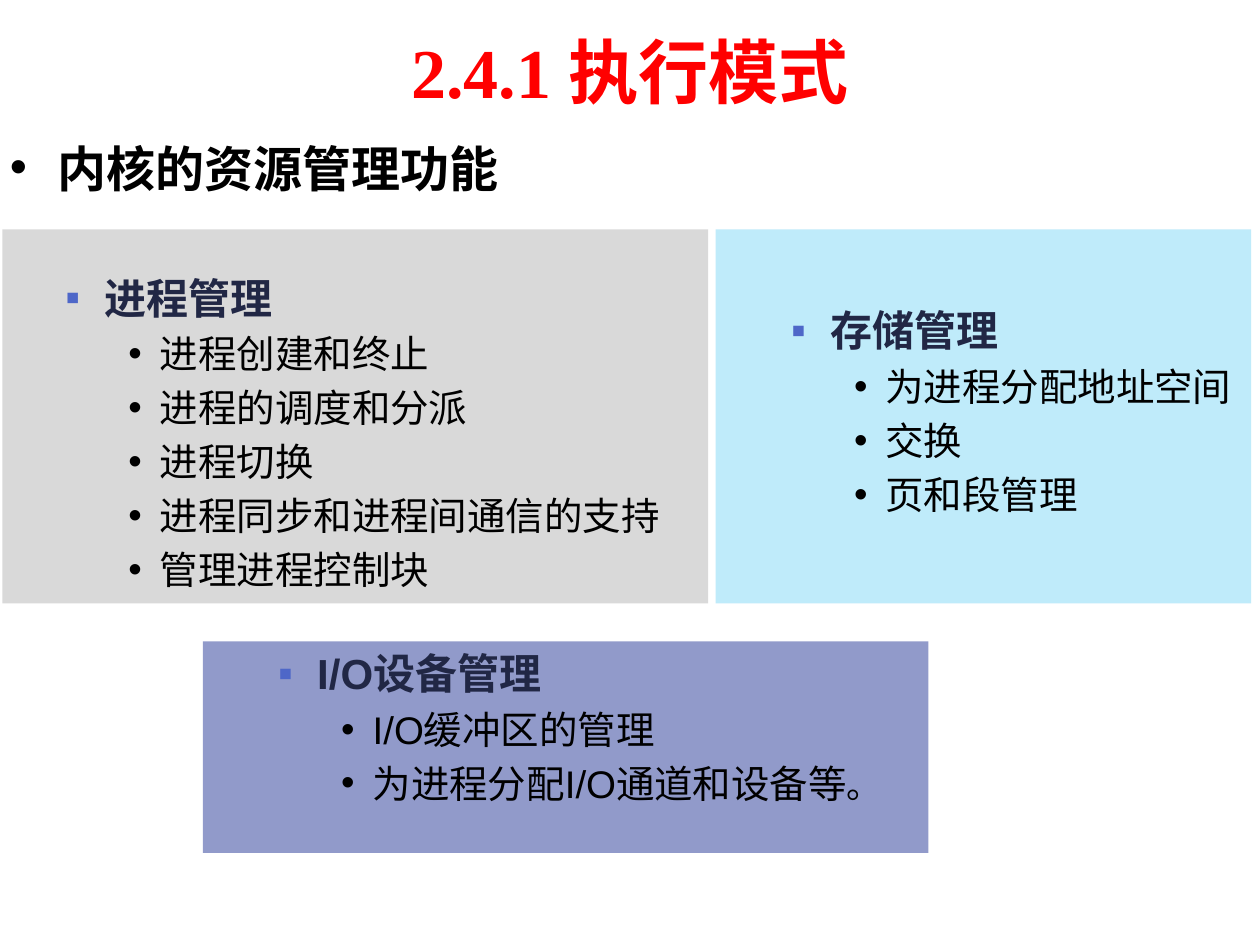
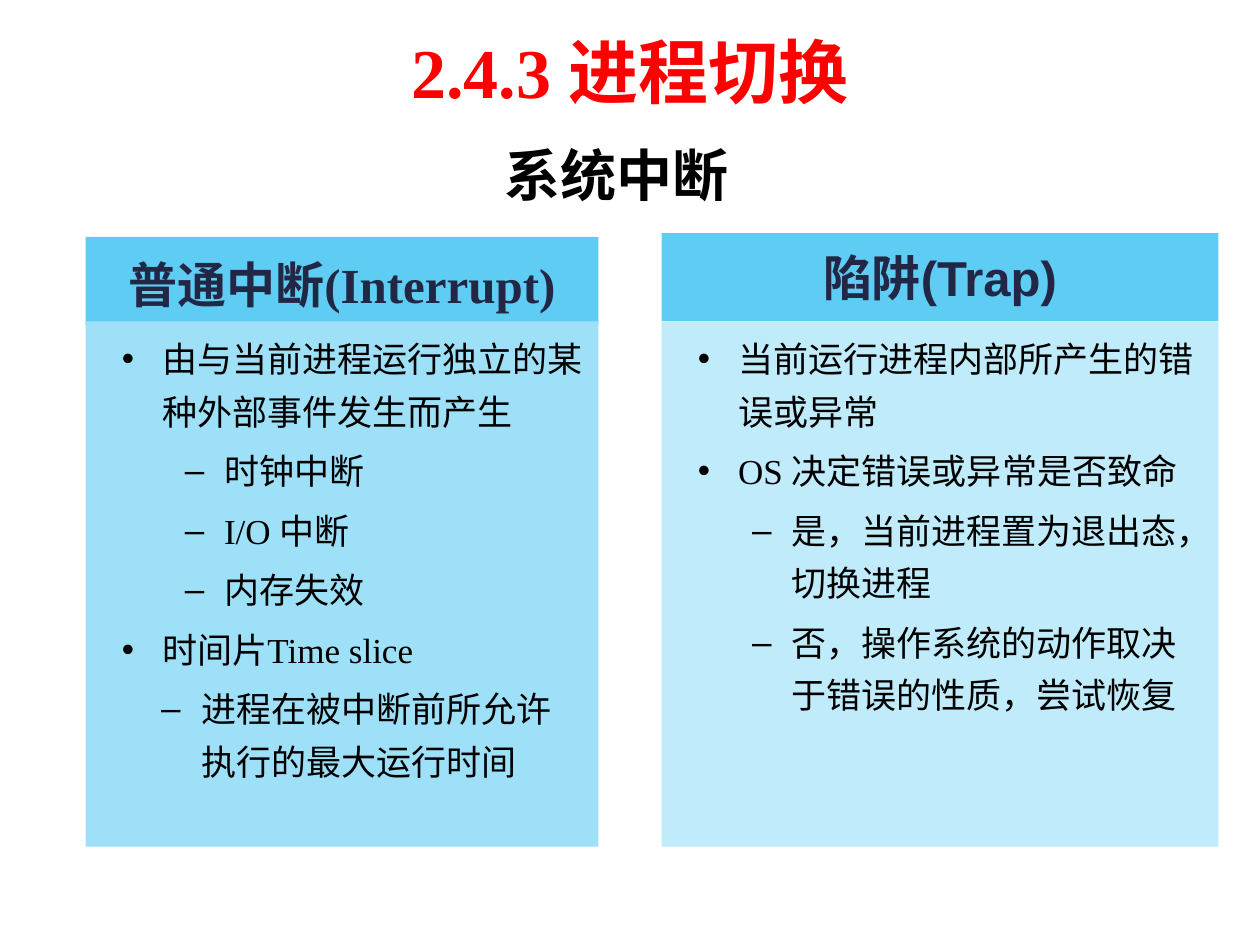
from collections import namedtuple

from lxml import etree
from pptx import Presentation
from pptx.dml.color import RGBColor
from pptx.enum.shapes import MSO_SHAPE
from pptx.enum.text import MSO_ANCHOR, PP_ALIGN
from pptx.oxml.ns import qn
from pptx.util import Inches, Pt

RECT = MSO_SHAPE.RECTANGLE
TOP, MIDDLE = MSO_ANCHOR.TOP, MSO_ANCHOR.MIDDLE
LEFT, CENTER = PP_ALIGN.LEFT, PP_ALIGN.CENTER

RED = RGBColor(0xFF, 0x00, 0x00)
BLACK = RGBColor(0x00, 0x00, 0x00)
NAVY = RGBColor(0x21, 0x27, 0x45)
BLUE = RGBColor(0x4E, 0x67, 0xC8)
GRAY = RGBColor(0xD9, 0xD9, 0xD9)
PALE = RGBColor(0xBF, 0xEB, 0xFA)
LILAC = RGBColor(0x91, 0x9A, 0xCA)
SKY = RGBColor(0x5E, 0xCC, 0xF3)
LIGHT = RGBColor(0x9E, 0xE0, 0xF8)

SANS, SERIF = "Arial", "Times New Roman"

# gap: space before, as a share of the text size
Look = namedtuple("Look", "size font color bold align line gap level left hang mark tint",
                  defaults=(BLACK, False, LEFT, 1.0, 0.2, 0, 0, 0, "", BLACK))

TITLE = Look(40, SERIF, RED, True, CENTER, gap=0)
SUBTITLE = Look(32, SANS, bold=True, align=CENTER, gap=0)
LEAD = Look(28, SANS, bold=True, line=0.7, left=0.38, hang=0.38, mark="•")
HEAD = Look(24, SANS, NAVY, True, level=1, left=0.81, hang=0.31, mark="▪", tint=BLUE)
ITEM = Look(22, SANS, level=2, left=1.25, hang=0.25, mark="•")
BAND = Look(28, SANS, NAVY, True, CENTER)
POINT = Look(20, SERIF, line=1.25, level=2, left=0.51, hang=0.32, mark="•")
SUB = POINT._replace(level=3, left=1.0, hang=0.31, mark="–")


def style_run(run, look):
    font = run.font
    font.size = Pt(look.size)
    font.name = look.font
    font.bold = look.bold
    font.color.rgb = look.color


def add_mark(para, look):
    """Give the paragraph its hanging indent and bullet."""
    props = para._p.get_or_add_pPr()
    props.set("marL", str(Inches(look.left)))
    props.set("indent", str(-Inches(look.hang)))
    if look.mark:
        tint = etree.SubElement(props, qn("a:buClr"))
        etree.SubElement(tint, qn("a:srgbClr"), val=str(look.tint))
        etree.SubElement(props, qn("a:buFont"), typeface=SANS)
        etree.SubElement(props, qn("a:buChar"), char=look.mark)


def write(shape, rows, anchor=TOP, side=0.1, top=0.05):
    """Fill a shape with (text, look) rows."""
    frame = shape.text_frame
    frame.word_wrap = True
    frame.vertical_anchor = anchor
    frame.margin_left = frame.margin_right = Inches(side)
    frame.margin_top, frame.margin_bottom = Inches(top), Inches(0.05)
    for num, (text, look) in enumerate(rows):
        para = frame.add_paragraph() if num else frame.paragraphs[0]
        para.text = text
        para.alignment = look.align
        para.level = look.level
        para.line_spacing = look.line
        para.space_before = Pt(look.size * look.gap)
        add_mark(para, look)
        for run in para.runs:
            style_run(run, look)
    return frame


def add_label(slide, box, text, look, anchor=MIDDLE):
    shape = slide.shapes.add_textbox(*map(Inches, box))
    write(shape, [(text, look)], anchor)


def add_panel(slide, box, fill, rows, **layout):
    panel = slide.shapes.add_shape(RECT, *map(Inches, box))
    panel.shadow.inherit = False
    panel.fill.solid()
    panel.fill.fore_color.rgb = fill
    panel.line.fill.background()
    return write(panel, rows, **layout)


def add_topic(slide, box, fill, head, items, **layout):
    rows = [(head, HEAD)] + [(item, ITEM) for item in items]
    return add_panel(slide, box, fill, rows, **layout)


def add_page(deck, title):
    slide = deck.slides.add_slide(deck.slide_layouts[6])
    add_label(slide, (0.5, 0.05, 9, 1.02), title, TITLE)
    return slide


def build_modes(deck):
    slide = add_page(deck, "2.4.1 执行模式")
    add_label(slide, (-0.02, 1.18, 7.57, 0.58), "内核的资源管理功能", LEAD, TOP)
    add_topic(slide, (0.02, 1.82, 5.6, 2.97), GRAY, "进程管理",
              ["进程创建和终止", "进程的调度和分派", "进程切换",
               "进程同步和进程间通信的支持", "管理进程控制块"], side=0, top=0.34)
    add_topic(slide, (5.68, 1.82, 4.25, 2.97), PALE, "存储管理",
              ["为进程分配地址空间", "交换", "页和段管理"], top=0.6)
    frame = add_topic(slide, (1.61, 5.09, 5.76, 1.68), LILAC, "I/O设备管理",
                      ["I/O缓冲区的管理", "为进程分配I/O通道和设备等"])
    stop = frame.paragraphs[-1].add_run()
    stop.text = "。"
    style_run(stop, ITEM._replace(size=20))


def build_switch(deck):
    slide = add_page(deck, "2.4.3 进程切换")
    add_label(slide, (0.5, 1.07, 8.78, 0.63), "系统中断", SUBTITLE)

    x, wide = 0.68, 4.07
    last = SUB._replace(left=0.82, hang=0.32)
    add_panel(slide, (x, 1.88, wide, 0.7), SKY,
              [("普通中断(Interrupt)", BAND._replace(font=SERIF, line=1.2))])
    add_panel(slide, (x, 2.55, wide, 4.17), LIGHT, [
        ("由与当前进程运行独立的某种外部事件发生而产生", POINT),
        ("时钟中断", SUB),
        ("I/O 中断", SUB),
        ("内存失效", SUB),
        ("时间片Time slice", POINT),
        ("进程在被中断前所允许执行的最大运行时间", last),
    ])

    x, wide = 5.25, 4.42
    case = SUB._replace(left=0.93)
    add_panel(slide, (x, 1.85, wide, 0.7), SKY, [("陷阱(Trap)", BAND)], anchor=MIDDLE)
    add_panel(slide, (x, 2.55, wide, 4.17), PALE, [
        ("当前运行进程内部所产生的错误或异常", POINT),
        ("OS 决定错误或异常是否致命", POINT),
        ("是，当前进程置为退出态，切换进程", case),
        ("否，操作系统的动作取决于错误的性质，尝试恢复", case),
    ])


def main():
    deck = Presentation()
    deck.slide_width, deck.slide_height = Inches(10), Inches(7.5)
    build_modes(deck)
    build_switch(deck)
    deck.save("out.pptx")


if __name__ == "__main__":
    main()
